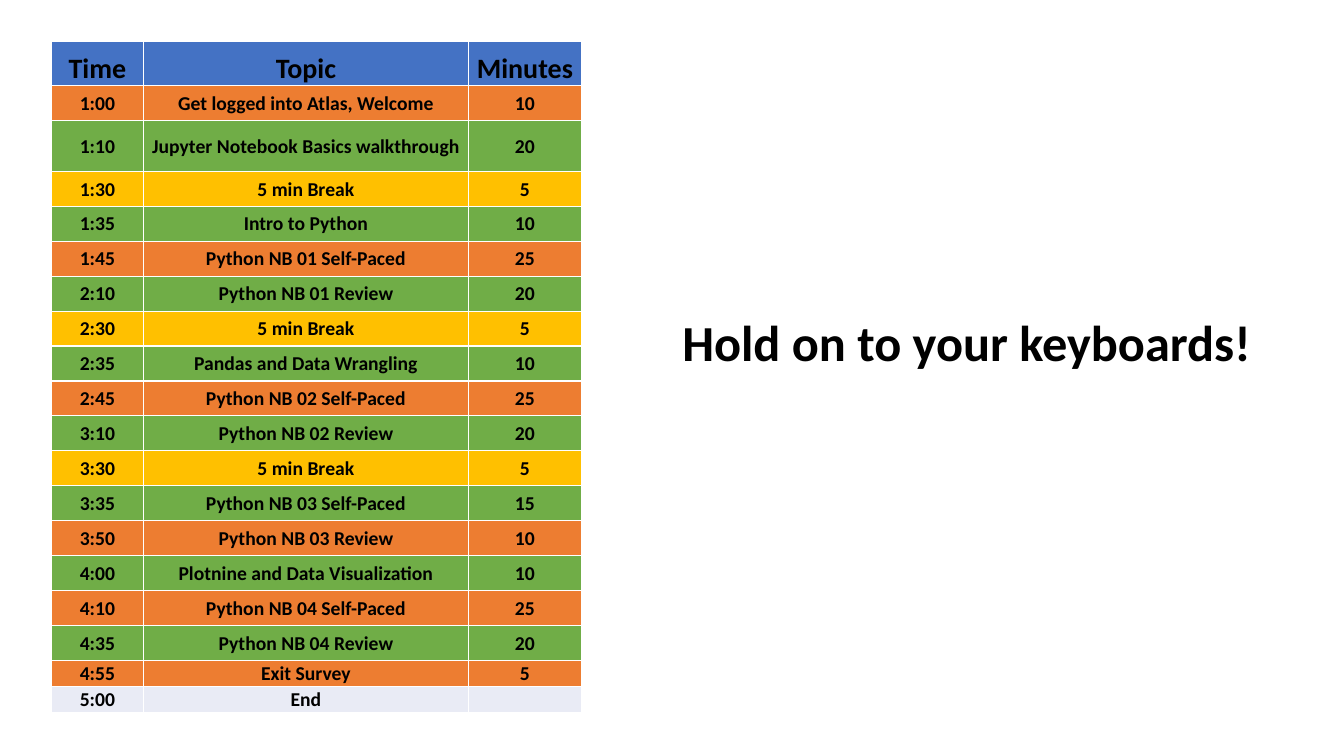
from dataclasses import dataclass

from lxml.etree import SubElement
from pptx import Presentation
from pptx.dml.color import RGBColor
from pptx.enum.text import MSO_ANCHOR, MSO_AUTO_SIZE, PP_ALIGN
from pptx.oxml.ns import qn
from pptx.util import Cm, Pt


@dataclass(frozen=True)
class Theme:
    font: str = "Calibri"
    ink: str = "000000"
    line: str = "FFFFFF"
    head: str = "4472C4"
    task: str = "ED7D31"
    talk: str = "70AD47"
    rest: str = "FFC000"
    end: str = "E9EBF5"
    title_size: int = 36
    head_size: int = 20
    cell_size: int = 14


THEME = Theme()
WIDTHS = (2.31, 8.2, 2.84)
HEAD, TALL, ROW, LOW = 1.11, 1.28, 0.88, 0.66
AGENDA = (
    (HEAD, THEME.head, "Time", "Topic", "Minutes"),
    (ROW, THEME.task, "1:00", "Get logged into Atlas, Welcome", "10"),
    (TALL, THEME.talk, "1:10", "Jupyter Notebook Basics walkthrough", "20"),
    (ROW, THEME.rest, "1:30", "5 min Break", "5"),
    (ROW, THEME.talk, "1:35", "Intro to Python", "10"),
    (ROW, THEME.task, "1:45", "Python NB 01 Self-Paced", "25"),
    (ROW, THEME.talk, "2:10", "Python NB 01 Review", "20"),
    (ROW, THEME.rest, "2:30", "5 min Break", "5"),
    (ROW, THEME.talk, "2:35", "Pandas and Data Wrangling", "10"),
    (ROW, THEME.task, "2:45", "Python NB 02 Self-Paced", "25"),
    (ROW, THEME.talk, "3:10", "Python NB 02 Review", "20"),
    (ROW, THEME.rest, "3:30", "5 min Break", "5"),
    (ROW, THEME.talk, "3:35", "Python NB 03 Self-Paced", "15"),
    (ROW, THEME.task, "3:50", "Python NB 03 Review", "10"),
    (ROW, THEME.talk, "4:00", "Plotnine and Data Visualization", "10"),
    (ROW, THEME.task, "4:10", "Python NB 04 Self-Paced", "25"),
    (ROW, THEME.talk, "4:35", "Python NB 04 Review", "20"),
    (LOW, THEME.task, "4:55", "Exit Survey", "5"),
    (LOW, THEME.end, "5:00", "End", ""),
)


def add_run(para, text, size):
    run = para.add_run()
    run.text = text
    run.font.name = THEME.font
    run.font.size = Pt(size)
    run.font.bold = True
    run.font.color.rgb = RGBColor.from_string(THEME.ink)


def add_edges(cell):
    props = cell._tc.get_or_add_tcPr()
    for side in ("a:lnL", "a:lnR", "a:lnT", "a:lnB"):
        edge = SubElement(props, qn(side), w=str(Pt(1)))
        fill = SubElement(edge, qn("a:solidFill"))
        SubElement(fill, qn("a:srgbClr"), val=THEME.line)


def fill_cell(cell, text, color, size, anchor):
    add_edges(cell)
    cell.fill.solid()
    cell.fill.fore_color.rgb = RGBColor.from_string(color)
    cell.margin_left = cell.margin_right = cell.margin_top = Cm(0.02)
    cell.margin_bottom = 0
    cell.vertical_anchor = anchor
    para = cell.text_frame.paragraphs[0]
    para.alignment = PP_ALIGN.CENTER
    if text:
        add_run(para, text, size)
    else:
        SubElement(para._p, qn("a:endParaRPr"), sz=str(size * 100))


def add_agenda(slide):
    high = sum(row[0] for row in AGENDA)
    frame = slide.shapes.add_table(
        len(AGENDA), len(WIDTHS), Cm(1.3), Cm(1.05), Cm(sum(WIDTHS)), Cm(high)
    )
    table = frame.table
    table.horz_banding = False
    for column, width in zip(table.columns, WIDTHS):
        column.width = Cm(width)
    for index, (height, color, *texts) in enumerate(AGENDA):
        table.rows[index].height = Cm(height)
        size = THEME.cell_size if index else THEME.head_size
        anchor = MSO_ANCHOR.MIDDLE if index else MSO_ANCHOR.BOTTOM
        for column, text in enumerate(texts):
            fill_cell(table.cell(index, column), text, color, size, anchor)


def set_title(slide, text):
    title = slide.shapes.title
    title.left, title.top = Cm(16.94), Cm(7.72)
    title.width, title.height = Cm(15.04), Cm(1.8)
    frame = title.text_frame
    frame.word_wrap = True
    frame.auto_size = MSO_AUTO_SIZE.NONE
    frame.vertical_anchor = MSO_ANCHOR.TOP
    para = frame.paragraphs[0]
    para.alignment = PP_ALIGN.LEFT
    add_run(para, text, THEME.title_size)


def main():
    deck = Presentation()
    deck.slide_width, deck.slide_height = Cm(33.87), Cm(19.05)
    slide = deck.slides.add_slide(deck.slide_layouts.get_by_name("Title Only"))
    add_agenda(slide)
    set_title(slide, "Hold on to your keyboards!")
    deck.save("out.pptx")


if __name__ == "__main__":
    main()
